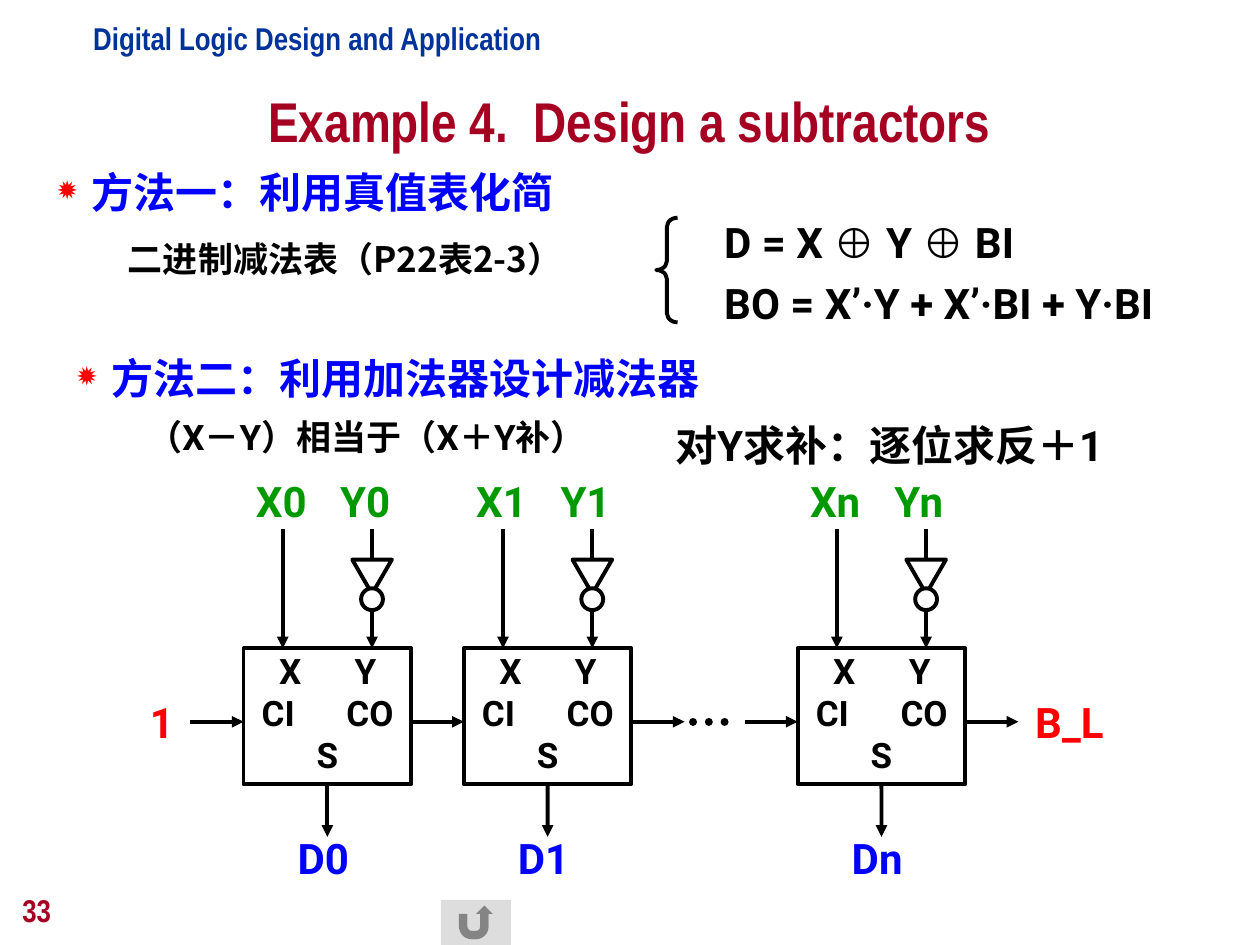
from lxml.etree import SubElement as Sub
from pptx import Presentation
from pptx.dml.color import RGBColor
from pptx.enum.dml import MSO_LINE as Dash
from pptx.enum.shapes import MSO_CONNECTOR as Conn, MSO_SHAPE as Shape
from pptx.enum.text import MSO_ANCHOR as Anchor, PP_ALIGN as Align
from pptx.oxml.ns import qn
from pptx.util import Cm, Pt

BLACK, WHITE, RED, BLUE = "000000", "FFFFFF", "FF0000", "0000FF"
GREEN, WINE, NAVY, GRAY = "009900", "A50021", "003399", "DDDDDD"
BODY, HEAD, HAN, SIGN = "Roboto", "Arial Narrow", "Noto Sans CJK SC", "Arial"

CELL_W, CELL_H, CELL_TOP = 3.38, 2.74, 13.07
CARRY_Y, CARRY_W = 14.55, 1.07
CELLS = [("0", 4.91), ("1", 9.35), ("n", 16.08)]


def color(code):
    return RGBColor.from_string(code)


def put(item, values):
    for name, value in values.items():
        setattr(item, name, value)


def add_run(par, text, size, tint, face):
    run = par.add_run()
    run.text = text
    put(run.font, {"size": Pt(size), "bold": True, "name": face})
    run.font.color.rgb = color(tint)
    if any("\u2e80" < sign for sign in text):
        Sub(run.font._element, qn("a:ea"), typeface=HAN)


def add_par(frame, runs, **form):
    """Fill the empty first paragraph, or append one; runs are add_run values."""
    par = frame.paragraphs[0]
    if par.runs:
        par = frame.add_paragraph()
    put(par, form)
    for run in runs:
        add_run(par, *run)
    return par


def add_box(slide, x, y, w, h, wrap=True, **form):
    frame = slide.shapes.add_textbox(Cm(x), Cm(y), Cm(w), Cm(h)).text_frame
    put(frame, {"word_wrap": wrap, **form})
    return frame


def add_label(slide, text, x, y, w, tint, size=24, face=BODY, h=1.27):
    add_par(add_box(slide, x, y, w, h, wrap=False), [(text, size, tint, face)])


def add_shape(slide, kind, x, y, w, h, fill=None, line=BLACK):
    shape = slide.shapes.add_shape(kind, Cm(x), Cm(y), Cm(w), Cm(h))
    shape.shadow.inherit = False
    if fill:
        shape.fill.solid()
        shape.fill.fore_color.rgb = color(fill)
    else:
        shape.fill.background()
    if line:
        shape.line.color.rgb = color(line)
        shape.line.width = Pt(2.25)
    else:
        shape.line.fill.background()
    return shape


def add_line(slide, x1, y1, x2, y2, width=2.25):
    line = slide.shapes.add_connector(Conn.STRAIGHT, Cm(x1), Cm(y1), Cm(x2), Cm(y2))
    line.line.color.rgb = color(BLACK)
    line.line.width = Pt(width)
    Sub(line._element.spPr, qn("a:effectLst"))
    return line


def add_arrow(slide, *ends):
    line = add_line(slide, *ends)
    Sub(line.line._get_or_add_ln(), qn("a:tailEnd"), type="triangle")
    return line


def set_bullet(par):
    props = par._p.get_or_add_pPr()
    put_in = {"marL": Cm(0.69), "indent": -Cm(0.69)}
    for name, value in put_in.items():
        props.set(name, str(value))
    Sub(Sub(props, qn("a:buClr")), qn("a:srgbClr"), val=RED)
    Sub(props, qn("a:buSzPct"), val="80000")
    Sub(props, qn("a:buChar"), char="✹")


def set_tabs(par, stops):
    tabs = Sub(par._p.get_or_add_pPr(), qn("a:tabLst"))
    for stop in stops:
        Sub(tabs, qn("a:tab"), pos=str(Cm(stop)), algn="ctr")


def add_method(slide, title, runs, x, y, w, h, space):
    """Bulleted heading with an indented line under it."""
    frame = add_box(slide, x, y, w, h)
    set_bullet(add_par(frame, [(title, 24, BLUE, HAN)], line_spacing=space))
    par = add_par(frame, runs, line_spacing=space, space_before=Pt(5))
    par._p.get_or_add_pPr().set("marL", str(Cm(1.42)))


def add_rule(slide):
    """Brace with the two equations."""
    brace = add_shape(slide, Shape.LEFT_BRACE, 13.23, 4.39, 0.43, 2.11)
    brace.adjustments[0] = 0.42
    frame = add_box(slide, 14.35, 4.04, 9.8, 2.69)
    parts = [("D = X ", BODY), ("⊕", SIGN), (" Y ", BODY), ("⊕", SIGN), (" BI", BODY)]
    for line in (parts, [("BO = X’·Y + X’·BI + Y·BI", BODY)]):
        add_par(frame, [(text, 24, BLACK, face) for text, face in line], line_spacing=1.2)


def add_adder(slide, x):
    cell = add_shape(slide, Shape.RECTANGLE, x, CELL_TOP, CELL_W, CELL_H)
    frame = cell.text_frame
    put(frame, {"word_wrap": True, "vertical_anchor": Anchor.TOP,
                "margin_left": Cm(0.15), "margin_right": Cm(0.15),
                "margin_top": Cm(0.03), "margin_bottom": Cm(0.03)})
    for text, stops in (("\tX\tY", (0.79, 2.31)), ("\tCI\tCO", (0.55, 2.4))):
        par = add_par(frame, [(text, 20, BLACK, BODY)], alignment=Align.LEFT)
        set_tabs(par, stops)
    add_par(frame, [("S", 20, BLACK, BODY)], alignment=Align.CENTER)
    return cell


def add_stage(slide, index, x):
    """One bit: inputs, inverter, adder, carry in and difference."""
    x_in, y_in, mid = x + 0.79, x + 2.59, x + CELL_W / 2
    add_label(slide, "X" + index, x, 9.47, 1.55, GREEN)
    add_label(slide, "Y" + index, x + 1.7, 9.47, 1.55, GREEN)
    for pin in (x_in, y_in):
        add_arrow(slide, pin, 10.67, pin, CELL_TOP)
    gate = add_shape(slide, Shape.ISOSCELES_TRIANGLE, y_in - 0.4, 11.28, 0.8, 0.69, WHITE)
    gate.rotation = 180
    add_shape(slide, Shape.OVAL, y_in - 0.22, 11.86, 0.44, 0.44, WHITE)
    cell = add_adder(slide, x)
    add_arrow(slide, x - CARRY_W, CARRY_Y, x, CARRY_Y)
    out = add_arrow(slide, mid, CELL_TOP + CELL_H, mid, 16.87)
    out.begin_connect(cell, 2)
    add_label(slide, "D" + index, x + 0.84, 16.66, 1.63, BLUE)


def add_chain(slide):
    for index, x in CELLS:
        add_stage(slide, index, x)
    for _, x in CELLS[1:]:
        end = x + CELL_W
        add_arrow(slide, end, CARRY_Y, end + CARRY_W, CARRY_Y)
    dots = add_line(slide, 13.97, CARRY_Y, 14.81, CARRY_Y, 4.5)
    dots.line.dash_style = Dash.ROUND_DOT
    dots.line._get_or_add_ln().set("cap", "rnd")
    add_label(slide, "1", 2.77, 13.92, 0.99, RED)
    add_label(slide, "B_L", 20.62, 13.92, 1.9, RED)


def main():
    deck = Presentation()
    put(deck, {"slide_width": Cm(25.4), "slide_height": Cm(19.05)})
    slide = deck.slides.add_slide(deck.slide_layouts[6])
    add_label(slide, "Digital Logic Design and Application", 1.63, 0.25, 9.55,
              NAVY, 18, HEAD, 1.02)
    title = add_box(slide, 0, 1.52, 25.4, 1.8, vertical_anchor=Anchor.MIDDLE)
    add_par(title, [("Example 4.  Design a subtractors", 32, WINE, HEAD)],
            alignment=Align.CENTER)
    add_method(slide, "方法一：利用真值表化简",
               [("二进制减法表（P22表2-3）", 20, BLACK, HAN)],
               0.91, 2.92, 11.48, 3.05, 1.3)
    add_rule(slide)
    add_method(slide, "方法二：利用加法器设计减法器",
               [("（", 20, BLACK, HAN), ("X－Y）相当于（X＋Y补）", 20, BLACK, BODY)],
               1.3, 6.88, 13.26, 2.64, 1.1)
    note = add_box(slide, 13.36, 8.13, 9.96, 1.47)
    add_par(note, [("对Y求补：逐位求反＋1", 24, BLACK, BODY)], line_spacing=1.2)
    add_chain(slide)
    page = add_box(slide, 0.2, 17.58, 5.28, 1.27, vertical_anchor=Anchor.BOTTOM)
    add_par(page, [("33", 18, WINE, HEAD)])
    add_shape(slide, Shape.ACTION_BUTTON_RETURN, 8.89, 18.14, 1.41, 0.91, GRAY, None)
    deck.save("out.pptx")


if __name__ == "__main__":
    main()
